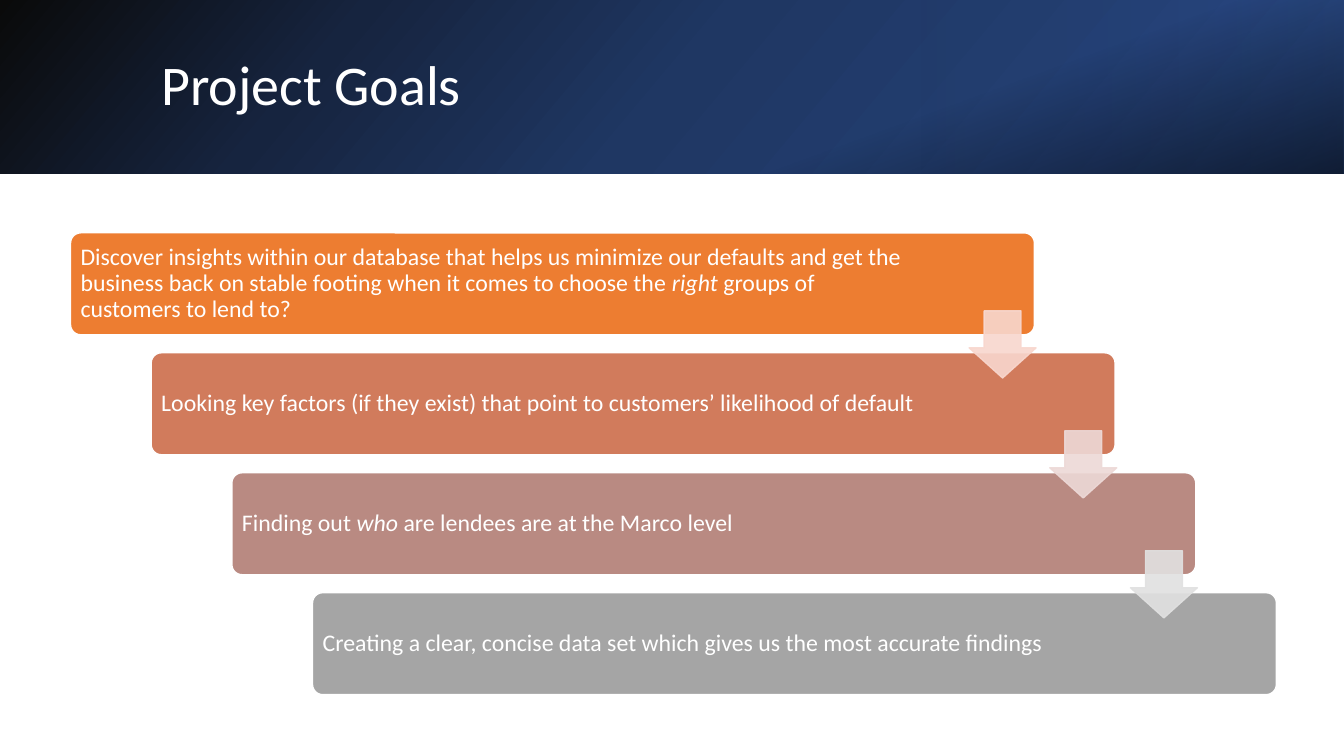
from dataclasses import dataclass

import pptx
import pptx.dml.color
import pptx.enum.shapes
import pptx.enum.text
import pptx.oxml
import pptx.oxml.ns
import pptx.util

Inches = pptx.util.Inches
Pt = pptx.util.Pt
RGB = pptx.dml.color.RGBColor.from_string
SHAPE = pptx.enum.shapes.MSO_SHAPE
ALIGN = pptx.enum.text.PP_ALIGN
ANCHOR = pptx.enum.text.MSO_ANCHOR
qn = pptx.oxml.ns.qn


@dataclass(frozen=True)
class Theme:
    font: str = "Calibri"
    white: str = "FFFFFF"
    title_size: int = 40
    goal_size: int = 17
    line_width: int = 1
    line_spacing: float = 0.9
    goal_fills: tuple = ("ED7D31", "D17B5C", "B98A82", "A5A5A5")
    arrow_fills: tuple = ("F8D7CE", "EDD9D7", "E1E1E1")
    arrow_opacity: int = 90
    banner: tuple = ((0, "0A0A0A", 100), (25, "16243F", 100),
                     (50, "1F3763", 100), (100, "274680", 100))
    sheen: tuple = ((0, "203864", 0), (100, "4472C4", 12))
    shade: tuple = ((0, "000000", 0), (68, "000000", 0), (100, "000000", 62))


class Deck:
    width, height = 13.33, 7.5
    left, top = 0.7, 2.31
    col, row = 0.8, 1.19

    def __init__(self, theme):
        self.theme = theme
        self.prs = pptx.Presentation()
        self.prs.slide_width = Inches(self.width)
        self.prs.slide_height = Inches(self.height)
        self.slide = self.prs.slides.add_slide(self.prs.slide_layouts[5])

    def share(self, x, y, w, h):
        return (Inches(x * self.width), Inches(y * self.height),
                Inches(w * self.width), Inches(h * self.height))

    def grid(self, col, row, cols, rows):
        return (Inches(self.left + col * self.col), Inches(self.top + row * self.row),
                Inches(cols * self.col), Inches(rows * self.row))

    def shape(self, kind, box, adjustments=()):
        sp = self.slide.shapes.add_shape(kind, *box)
        sp.shadow.inherit = False
        for i, value in enumerate(adjustments):
            sp.adjustments[i] = value
        return sp

    def paint(self, sp, fill, line, opacity=100):
        sp.fill.solid()
        sp.fill.fore_color.rgb = RGB(fill)
        sp.line.color.rgb = RGB(line)
        sp.line.width = Pt(self.theme.line_width)
        if opacity < 100:
            for clr in sp._element.spPr.iter(qn("a:srgbClr")):
                clr.append(self.alpha(opacity))

    def alpha(self, percent):
        ns = pptx.oxml.ns.nsdecls("a")
        return pptx.oxml.parse_xml(f'<a:alpha {ns} val="{percent * 1000}"/>')

    def gradient(self, box, stops, angle):
        sp = self.shape(SHAPE.RECTANGLE, box)
        sp.line.fill.background()
        sp.fill.gradient()
        grad = sp._element.spPr.find(qn("a:gradFill"))
        for child in list(grad):
            grad.remove(child)
        ns = pptx.oxml.ns.nsdecls("a")
        gs = "".join(f'<a:gs pos="{pos * 1000}"><a:srgbClr val="{color}">'
                     f'<a:alpha val="{opacity * 1000}"/></a:srgbClr></a:gs>'
                     for pos, color, opacity in stops)
        grad.append(pptx.oxml.parse_xml(f"<a:gsLst {ns}>{gs}</a:gsLst>"))
        grad.append(pptx.oxml.parse_xml(
            f'<a:lin {ns} ang="{angle * 60000}" scaled="0"/>'))

    def format(self, p, size):
        p.alignment = ALIGN.LEFT
        p.line_spacing = self.theme.line_spacing
        for r in p.runs:
            r.font.name = self.theme.font
            r.font.size = Pt(size)
            r.font.color.rgb = RGB(self.theme.white)

    def title(self, text, box):
        sp = self.slide.shapes.title
        sp.left, sp.top, sp.width, sp.height = box
        tree = self.slide.shapes._spTree
        tree.remove(sp._element)
        tree.append(sp._element)
        tf = sp.text_frame
        tf.text = text
        tf.vertical_anchor = ANCHOR.MIDDLE
        self.format(tf.paragraphs[0], self.theme.title_size)

    def goal(self, step, parts):
        sp = self.shape(SHAPE.ROUNDED_RECTANGLE, self.grid(step, step, 11.95, 0.85), [0.1])
        self.paint(sp, self.theme.goal_fills[step], self.theme.white)
        tf = sp.text_frame
        tf.word_wrap = True
        tf.vertical_anchor = ANCHOR.MIDDLE
        tf.margin_left = tf.margin_top = tf.margin_bottom = Inches(0.07)
        tf.margin_right = Inches(1.18)
        p = tf.paragraphs[0]
        for i, text in enumerate(parts):
            r = p.add_run()
            r.text = text
            r.font.italic = i == 1
        self.format(p, self.theme.goal_size)

    def arrow(self, step):
        color = self.theme.arrow_fills[step]
        box = self.grid(step + 11.14, step + 0.65, 0.83, 0.56)
        sp = self.shape(SHAPE.DOWN_ARROW, box, [0.55, 0.45])
        self.paint(sp, color, color, self.theme.arrow_opacity)


GOALS = [
    ["Discover insights within our database that helps us minimize our defaults and get "
     "the business back on stable footing when it comes to choose the ",
     "right ", "groups of customers to lend to?"],
    ["Looking key factors (if they exist) that point to customers’ likelihood of default"],
    ["Finding out ", "who ", "are lendees are at the Marco level"],
    ["Creating a clear, concise data set which gives us the most accurate findings"],
]


def main():
    theme = Theme()
    deck = Deck(theme)
    deck.gradient(deck.share(0, 0, 1, 0.23), theme.banner, 40)
    deck.gradient(deck.share(0.67, 0, 0.33, 0.23), theme.sheen, 0)
    deck.gradient(deck.share(0, 0, 1, 0.23), theme.shade, 70)
    deck.title("Project Goals", deck.share(0.1125, 0.05, 0.82, 0.13))
    for step, parts in enumerate(GOALS):
        deck.goal(step, parts)
    for step in range(len(GOALS) - 1):
        deck.arrow(step)
    deck.prs.save("out.pptx")


if __name__ == "__main__":
    main()
